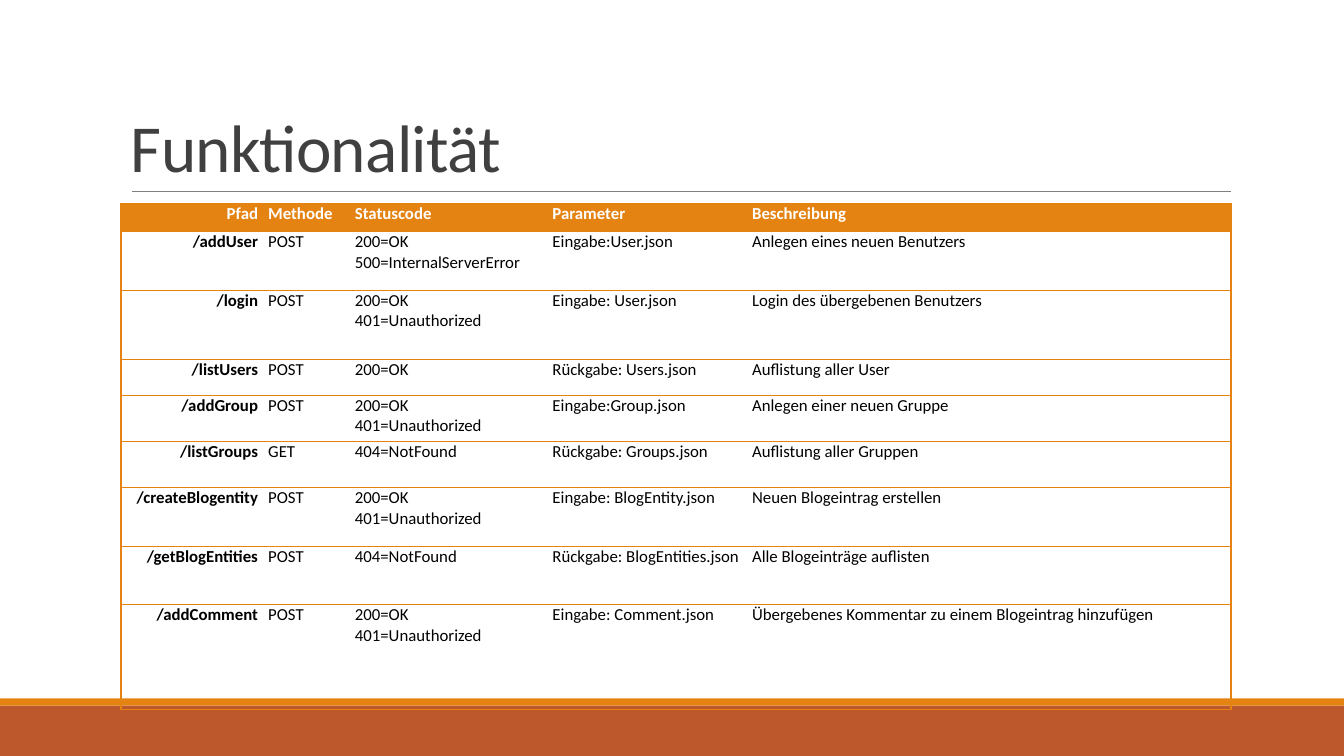
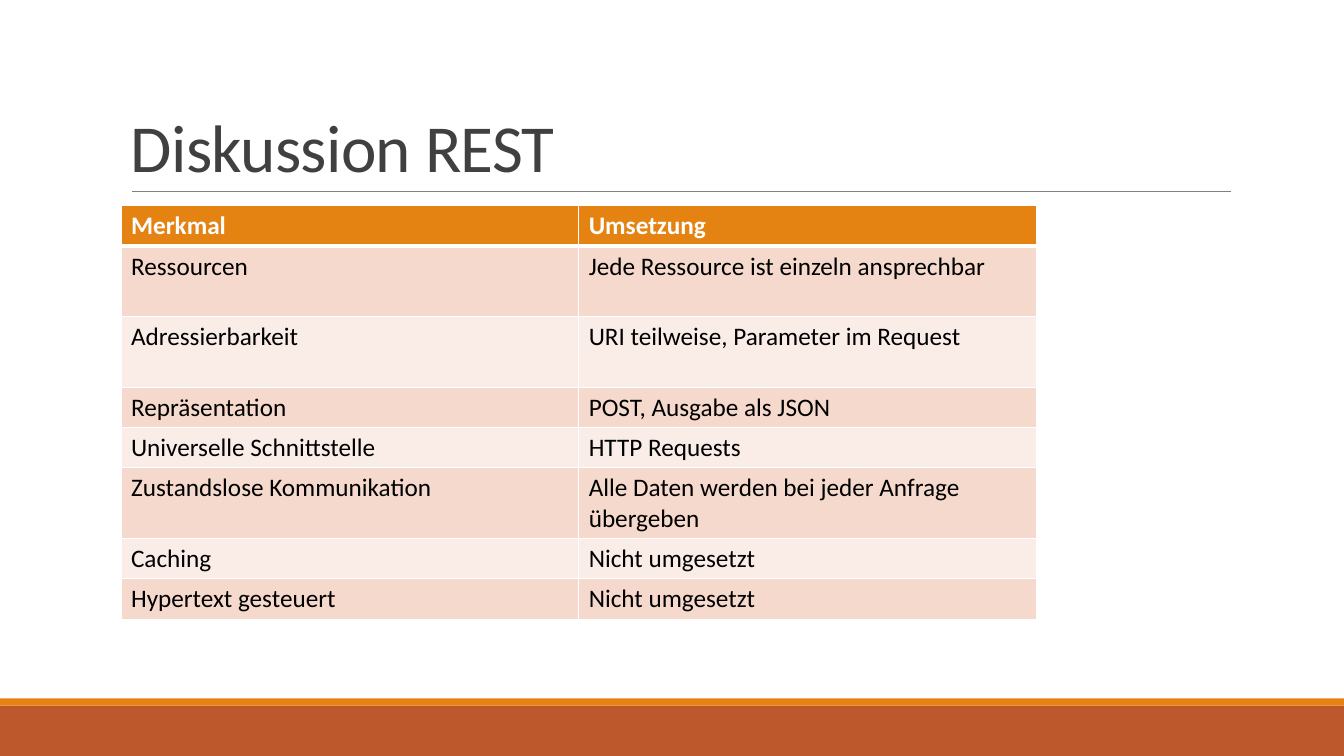
from lxml import etree
from pptx import Presentation
from pptx import util as u
from pptx.dml.color import RGBColor
from pptx.enum import shapes, text
from pptx.oxml import ns

ORANGE = RGBColor(0xE4, 0x83, 0x12)
RUST = RGBColor(0xBD, 0x58, 0x2C)
GREY = RGBColor(0x80, 0x80, 0x80)
TITLE_GREY = RGBColor(0x40, 0x40, 0x40)
BLACK = RGBColor(0, 0, 0)
WHITE = RGBColor(0xFF, 0xFF, 0xFF)
ROSE = RGBColor(0xF5, 0xD9, 0xCC)
PALE_ROSE = RGBColor(0xFA, 0xED, 0xE7)
FONT = "Calibri"

OK_OR_UNAUTHORIZED = "200=OK\n401=Unauthorized"
ENDPOINTS = [
    ("Pfad", "Methode", "Statuscode", "Parameter", "Beschreibung"),
    ("/addUser", "POST", "200=OK\n500=InternalServerError", "Eingabe:User.json",
     "Anlegen eines neuen Benutzers"),
    ("/login", "POST", OK_OR_UNAUTHORIZED, "Eingabe: User.json",
     "Login des übergebenen Benutzers"),
    ("/listUsers", "POST", "200=OK", "Rückgabe: Users.json", "Auflistung aller User"),
    ("/addGroup", "POST", OK_OR_UNAUTHORIZED, "Eingabe:Group.json",
     "Anlegen einer neuen Gruppe"),
    ("/listGroups", "GET", "404=NotFound", "Rückgabe: Groups.json",
     "Auflistung aller Gruppen"),
    ("/createBlogentity", "POST", OK_OR_UNAUTHORIZED, "Eingabe: BlogEntity.json",
     "Neuen Blogeintrag erstellen"),
    ("/getBlogEntities", "POST", "404=NotFound", "Rückgabe: BlogEntities.json",
     "Alle Blogeinträge auflisten"),
    ("/addComment", "POST", OK_OR_UNAUTHORIZED, "Eingabe: Comment.json",
     "Übergebenes Kommentar zu einem Blogeintrag hinzufügen"),
]
ENDPOINT_COLUMNS = [1.41, 0.86, 1.96, 1.98, 4.8]
ENDPOINT_ROWS = [0.28, 0.58, 0.69, 0.35, 0.46, 0.58, 0.58, 0.58, 1.04]
ENDPOINT_ROWS[5] = 0.46

REST_FEATURES = [
    ("Merkmal", "Umsetzung"),
    ("Ressourcen", "Jede Ressource ist einzeln ansprechbar"),
    ("Adressierbarkeit", "URI teilweise, Parameter im Request"),
    ("Repräsentation", "POST, Ausgabe als JSON"),
    ("Universelle Schnittstelle", "HTTP Requests"),
    ("Zustandslose Kommunikation", "Alle Daten werden bei jeder Anfrage übergeben"),
    ("Caching", "Nicht umgesetzt"),
    ("Hypertext gesteuert", "Nicht umgesetzt"),
]
FEATURE_COLUMNS = [4.54, 4.54]
FEATURE_ROWS = [0.4, 0.7, 0.7, 0.4, 0.4, 0.7, 0.4, 0.4]

BANDS = [(7, 0.5, RUST), (6.93, 0.07, ORANGE)]


def add_run(paragraph, content, size, color, bold=False):
    run = paragraph.add_run()
    run.text = content
    run.font.name = FONT
    run.font.size = u.Pt(size)
    run.font.color.rgb = color
    run.font.bold = bold
    return run


def add_titled_slide(presentation, title):
    slide = presentation.slides.add_slide(presentation.slide_layouts[6])
    for top, height, color in BANDS:
        band = slide.shapes.add_shape(
            shapes.MSO_SHAPE.RECTANGLE, 0, u.Inches(top),
            presentation.slide_width, u.Inches(height))
        band.shadow.inherit = False
        band.fill.solid()
        band.fill.fore_color.rgb = color
        band.line.fill.background()

    rule = slide.shapes.add_connector(
        shapes.MSO_CONNECTOR.STRAIGHT,
        u.Inches(1.31), u.Inches(1.9), u.Inches(12.21), u.Inches(1.9))
    rule.line.color.rgb = GREY
    rule.line.width = u.Pt(0.5)
    etree.SubElement(rule._element.spPr, ns.qn("a:effectLst"))

    box = slide.shapes.add_textbox(
        u.Inches(1.2), u.Inches(0.31), u.Inches(11), u.Inches(1.59))
    frame = box.text_frame
    frame.word_wrap = True
    frame.vertical_anchor = text.MSO_ANCHOR.BOTTOM
    paragraph = frame.paragraphs[0]
    paragraph.line_spacing = 0.85
    run = add_run(paragraph, title, 48, TITLE_GREY)
    run.font._element.set("spc", "-50")
    return slide


def set_borders(cell, **widths_and_colors):
    properties = cell._tc.get_or_add_tcPr()
    for index, side in enumerate("LRTB"):
        border = etree.Element(ns.qn(f"a:ln{side}"))
        width, color = widths_and_colors.get(side, (0, None))
        border.set("w", str(u.Pt(width)))
        if color is None:
            etree.SubElement(border, ns.qn("a:noFill"))
        else:
            fill = etree.SubElement(border, ns.qn("a:solidFill"))
            etree.SubElement(fill, ns.qn("a:srgbClr")).set("val", str(color))
        properties.insert(index, border)


def add_table(slide, top, columns, heights, rows, size, style_cell):
    table = slide.shapes.add_table(
        len(rows), len(columns), u.Inches(1.2), u.Inches(top),
        u.Inches(sum(columns)), u.Inches(sum(heights))).table
    table.horz_banding = False
    for column, width in zip(table.columns, columns):
        column.width = u.Inches(width)
    for row_index, (values, height) in enumerate(zip(rows, heights)):
        table.rows[row_index].height = u.Inches(height)
        for column_index, value in enumerate(values):
            cell = table.cell(row_index, column_index)
            header = row_index == 0
            bold = style_cell(cell, row_index, column_index) or header
            for line_index, line in enumerate(value.split("\n")):
                frame = cell.text_frame
                paragraph = frame.add_paragraph() if line_index else frame.paragraphs[0]
                if bold and not header:
                    paragraph.alignment = text.PP_ALIGN.RIGHT
                add_run(paragraph, line, size, WHITE if header else BLACK, bold)
    return table


def style_endpoint(cell, row, column):
    cell.margin_left = cell.margin_right = u.Inches(0.05)
    cell.margin_top = cell.margin_bottom = 0
    if row == 0:
        cell.fill.solid()
        cell.fill.fore_color.rgb = ORANGE
    else:
        cell.fill.background()
    edge = (1, ORANGE)
    borders = {"T": edge, "B": edge}
    if column == 0:
        borders["L"] = edge
    if column == len(ENDPOINT_COLUMNS) - 1:
        borders["R"] = edge
    set_borders(cell, **borders)
    return column == 0


def style_feature(cell, row, column):
    cell.fill.solid()
    cell.fill.fore_color.rgb = ORANGE if row == 0 else ROSE if row % 2 else PALE_ROSE
    thin, thick = (1, WHITE), (3, WHITE)
    set_borders(cell, L=thin, R=thin, T=thick if row == 1 else thin,
                B=thick if row == 0 else thin)
    return False


def main():
    presentation = Presentation()
    presentation.slide_width = u.Inches(13.33)
    presentation.slide_height = u.Inches(7.5)

    slide = add_titled_slide(presentation, "Funktionalität")
    endpoints = add_table(slide, 2.02, ENDPOINT_COLUMNS, ENDPOINT_ROWS, ENDPOINTS,
                          12, style_endpoint)
    endpoints.cell(0, 0).text_frame.paragraphs[0].alignment = text.PP_ALIGN.RIGHT

    slide = add_titled_slide(presentation, "Diskussion REST")
    add_table(slide, 2.04, FEATURE_COLUMNS, FEATURE_ROWS, REST_FEATURES,
              18, style_feature)

    presentation.save("out.pptx")


if __name__ == "__main__":
    main()
